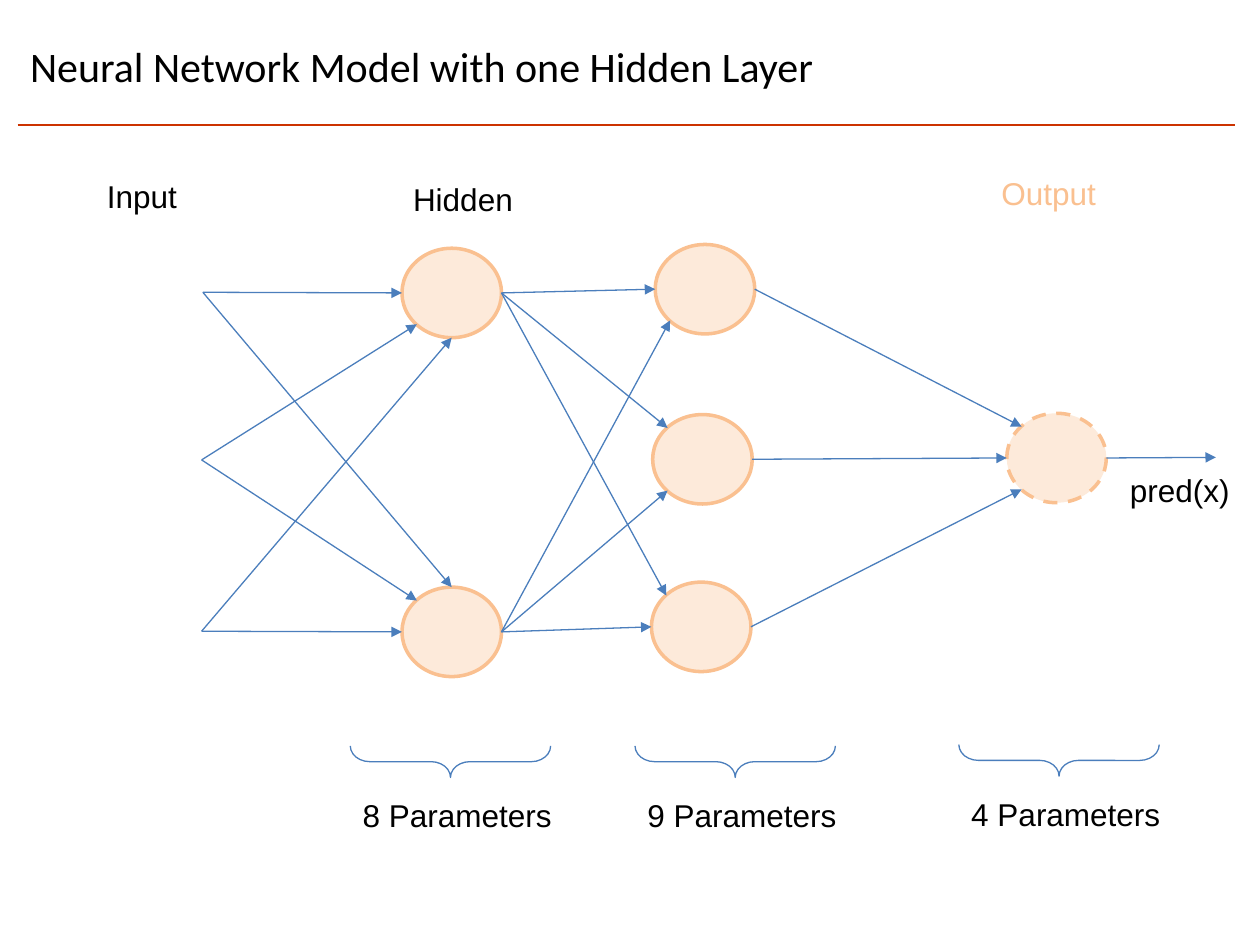
"""Build a slide showing a neural network with one hidden layer."""
from lxml import etree
from pptx import Presentation
from pptx.dml.color import RGBColor
from pptx.enum.dml import MSO_LINE
from pptx.enum.shapes import MSO_CONNECTOR, MSO_SHAPE
from pptx.enum.text import MSO_ANCHOR, MSO_AUTO_SIZE
from pptx.oxml.ns import qn
from pptx.util import Inches, Pt

STRAIGHT = MSO_CONNECTOR.STRAIGHT
OVAL = MSO_SHAPE.OVAL
BRACE = MSO_SHAPE.RIGHT_BRACE
DASH = MSO_LINE.DASH
MIDDLE = MSO_ANCHOR.MIDDLE
GROW = MSO_AUTO_SIZE.SHAPE_TO_FIT_TEXT

COLORS = {"text": "000000", "rule": "CC3300", "arrow": "4B7EBC",
          "node": "FDEADA", "ring": "FAC090"}
RGB = {name: RGBColor.from_string(value) for name, value in COLORS.items()}
NODE_W, NODE_H = 0.79, 0.71
SITES = {"top": (0.5, 0), "left": (0, 0.5), "bottom": (0.5, 1), "right": (1, 0.5),
         "top left": (0.15, 0.15), "bottom left": (0.15, 0.85)}

prs = Presentation()
prs.slide_width, prs.slide_height = Inches(10), Inches(7.5)
s = prs.slides.add_slide(prs.slide_layouts[6])


def add_line(start, end, color, width, arrow=True):
    c = s.shapes.add_connector(STRAIGHT, *[Inches(v) for v in (*start, *end)])
    c.line.color.rgb = RGB[color]
    c.line.width = Pt(width)
    if arrow:
        etree.SubElement(c.line._get_or_add_ln(), qn("a:tailEnd"), type="triangle")
    etree.SubElement(c._element.spPr, qn("a:effectLst"))


def add_text(text, box, size=18, font="Arial", color="text"):
    tb = s.shapes.add_textbox(*[Inches(v) for v in box])
    tf = tb.text_frame
    tf.text = text
    r = tf.paragraphs[0].runs[0]
    r.font.size, r.font.name = Pt(size), font
    r.font.color.rgb = RGB[color]
    return tf


add_line((0.14, 0.99), (9.8, 0.99), "rule", 1, arrow=False)
tf = add_text("Neural Network Model with one Hidden Layer",
              (0.14, 0.06, 8.81, 0.93), 24, "Calibri")
tf.word_wrap = True
tf.vertical_anchor = MIDDLE

nodes = {"h1": (3.19, 1.97), "h2": (3.19, 4.66), "m1": (5.2, 1.94),
         "m2": (5.18, 3.29), "m3": (5.17, 4.62), "out": (7.99, 3.28)}
for name, (x, y) in nodes.items():
    sp = s.shapes.add_shape(OVAL, Inches(x), Inches(y), Inches(NODE_W), Inches(NODE_H))
    sp.shadow.inherit = False
    sp.fill.solid()
    sp.fill.fore_color.rgb = RGB["node"]
    sp.line.color.rgb = RGB["ring"]
    sp.line.width = Pt(2)
    if name == "out":
        sp.line.dash_style = DASH

points = {(name, site): (x + fx * NODE_W, y + fy * NODE_H)
          for name, (x, y) in nodes.items() for site, (fx, fy) in SITES.items()}
inputs = [(1.61, 2.32), (1.6, 3.65), (1.6, 5.01)]
links = [
    (inputs[0], "h1", "left"), (inputs[0], "h2", "top"),
    (inputs[1], "h1", "bottom left"), (inputs[1], "h2", "top left"),
    (inputs[2], "h1", "bottom"), (inputs[2], "h2", "left"),
]
layers = [
    ("h1", "m1", "left"), ("h1", "m2", "top left"), ("h1", "m3", "top left"),
    ("h2", "m1", "bottom left"), ("h2", "m2", "bottom left"), ("h2", "m3", "left"),
    ("m1", "out", "top left"), ("m2", "out", "left"), ("m3", "out", "bottom left"),
]
links += [(points[source, "right"], target, site) for source, target, site in layers]
for start, target, site in links:
    add_line(start, points[target, site], "arrow", 0.75)
add_line(points["out", "right"], (9.65, 3.63), "arrow", 0.75)

labels = [
    ("Input", 0.75, 1.36, 0.76, "text"),
    ("Hidden", 3.18, 1.38, 1, "text"),
    ("Output", 7.85, 1.33, 0.96, "ring"),
    ("pred(x)", 8.87, 3.69, 1, "text"),
]
for count, x, y in [(8, 3.45, 5.25), (9, 5.71, 5.25), (4, 8.28, 5.24)]:
    sp = s.shapes.add_shape(BRACE, Inches(x), Inches(y), Inches(0.25), Inches(1.59))
    sp.rotation = 90
    sp.adjustments[0], sp.adjustments[1] = 0.615, 0.5
    sp.shadow.inherit = False
    sp.fill.background()
    sp.line.color.rgb = RGB["arrow"]
    sp.line.width = Pt(0.75)
    labels.append((f"{count} Parameters", x - 0.67, y + 1.02, 1.72, "text"))

for text, x, y, w, color in labels:
    tf = add_text(text, (x, y, w, 0.4), color=color)
    tf.word_wrap = False
    tf.auto_size = GROW

prs.save("out.pptx")
